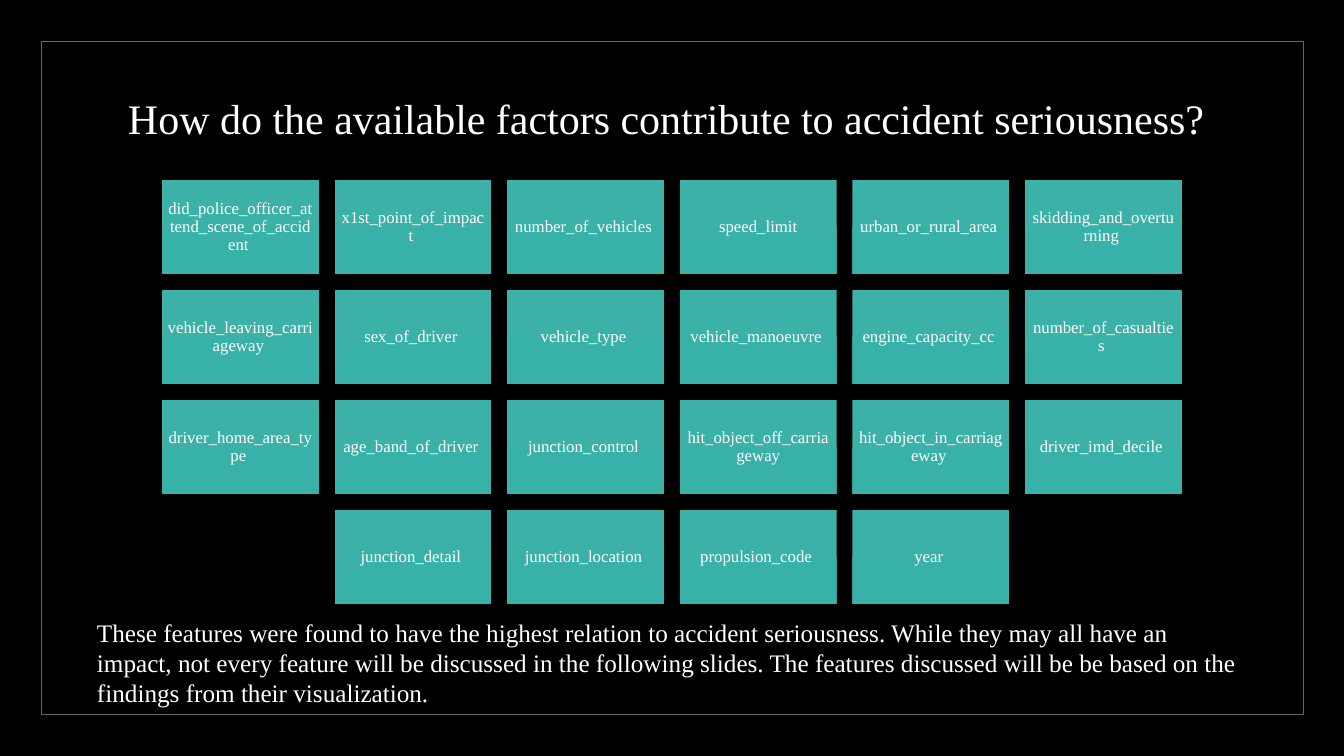
from pptx import Presentation
from pptx.dml.color import RGBColor
from pptx.enum.shapes import MSO_SHAPE
from pptx.enum.text import MSO_ANCHOR, PP_ALIGN
from pptx.util import Pt

RECTANGLE = MSO_SHAPE.RECTANGLE
MIDDLE, TOP = MSO_ANCHOR.MIDDLE, MSO_ANCHOR.TOP
CENTER, LEFT = PP_ALIGN.CENTER, PP_ALIGN.LEFT

EMU_PER_PX = 914400 / 100.8
FONT = "Times New Roman"
COLORS = {
    "background": "000000",
    "frame": "666666",
    "text": "FFFFFF",
    "tile_top": "3BB1A7",
    "tile_bottom": "38B2A8",
}

TITLE = "How do the available factors contribute to accident seriousness?"
FACTOR_ROWS = [
    ["did_police_officer_attend_scene_of_accident ", "x1st_point_of_impact ",
     "number_of_vehicles ", "speed_limit", "urban_or_rural_area ",
     "skidding_and_overturning "],
    ["vehicle_leaving_carriageway ", "sex_of_driver ", "vehicle_type ",
     "vehicle_manoeuvre ", "engine_capacity_cc ", "number_of_casualties "],
    ["driver_home_area_type ", "age_band_of_driver ", "junction_control ",
     "hit_object_off_carriageway", "hit_object_in_carriageway ",
     "driver_imd_decile "],
    ["junction_detail ", "junction_location ", "propulsion_code ", "year "],
]
SUMMARY = (
    "These features were found to have the highest relation to accident "
    "seriousness. While they may all have an impact, not every feature will "
    "be discussed in the following slides. The features discussed will be be "
    "based on the findings from their visualization."
)


def px(length):
    return round(length * EMU_PER_PX)


def color(name):
    return RGBColor.from_string(COLORS[name])


def write_text(shape, text, size, anchor=TOP, alignment=LEFT, spacing=1.0,
               margins=(10, 5, 10, 5)):
    """Fill the shape with one paragraph; margins are left, top, right, bottom."""
    left, top, right, bottom = margins
    frame = shape.text_frame
    frame_format = {
        "word_wrap": True,
        "vertical_anchor": anchor,
        "margin_left": px(left),
        "margin_top": px(top),
        "margin_right": px(right),
        "margin_bottom": px(bottom),
    }
    for name, value in frame_format.items():
        setattr(frame, name, value)
    paragraph = frame.paragraphs[0]
    paragraph.alignment = alignment
    paragraph.line_spacing = spacing
    run = paragraph.add_run()
    run.text = text
    for name, value in {"name": FONT, "size": Pt(size)}.items():
        setattr(run.font, name, value)
    run.font.color.rgb = color("text")


def add_rectangle(slide, box):
    shape = slide.shapes.add_shape(RECTANGLE, *map(px, box))
    shape.shadow.inherit = False
    return shape


def add_frame(slide, box):
    frame = add_rectangle(slide, box)
    frame.fill.background()
    frame.line.color.rgb = color("frame")
    frame.line.width = Pt(0.5)


def add_title(slide, box):
    title = slide.shapes.add_textbox(*map(px, box))
    # The deep bottom margin lifts the line above the middle of the box
    write_text(title, TITLE, 30, MIDDLE, spacing=0.9, margins=(10, 5, 10, 56))


def add_tile(slide, box, label):
    tile = add_rectangle(slide, box)
    tile.line.fill.background()
    tile.fill.gradient()
    tile.fill.gradient_angle = 270
    for stop, name in zip(tile.fill.gradient_stops, ("tile_top", "tile_bottom")):
        stop.color.rgb = color(name)
    write_text(tile, label, 12, MIDDLE, CENTER, 0.9, (5, 5, 5, 5))


def add_factor_grid(slide, box, tile_width=157, tile_height=94):
    left, top, width, height = box
    columns = max(map(len, FACTOR_ROWS))
    pitch_x = (width - tile_width) / (columns - 1)
    pitch_y = (height - tile_height) / (len(FACTOR_ROWS) - 1)
    for row, labels in enumerate(FACTOR_ROWS):
        # A short row is centred under the full ones
        indent = (columns - len(labels)) / 2
        for column, label in enumerate(labels):
            x = left + (indent + column) * pitch_x
            y = top + row * pitch_y
            add_tile(slide, (x, y, tile_width, tile_height), label)


def add_summary(slide, box):
    summary = slide.shapes.add_textbox(*map(px, box))
    write_text(summary, SUMMARY, 18)


def build_factors_slide(presentation):
    slide = presentation.slides.add_slide(presentation.slide_layouts[6])
    slide.background.fill.solid()
    slide.background.fill.fore_color.rgb = color("background")
    add_frame(slide, (41, 41, 1262, 673))
    add_title(slide, (118, 71, 1109, 151))
    add_factor_grid(slide, (162, 180, 1020, 424))
    add_summary(slide, (87, 612, 1164, 102))


def main():
    presentation = Presentation()
    presentation.slide_width = px(1344)
    presentation.slide_height = px(756)
    build_factors_slide(presentation)
    presentation.save("out.pptx")


if __name__ == "__main__":
    main()
